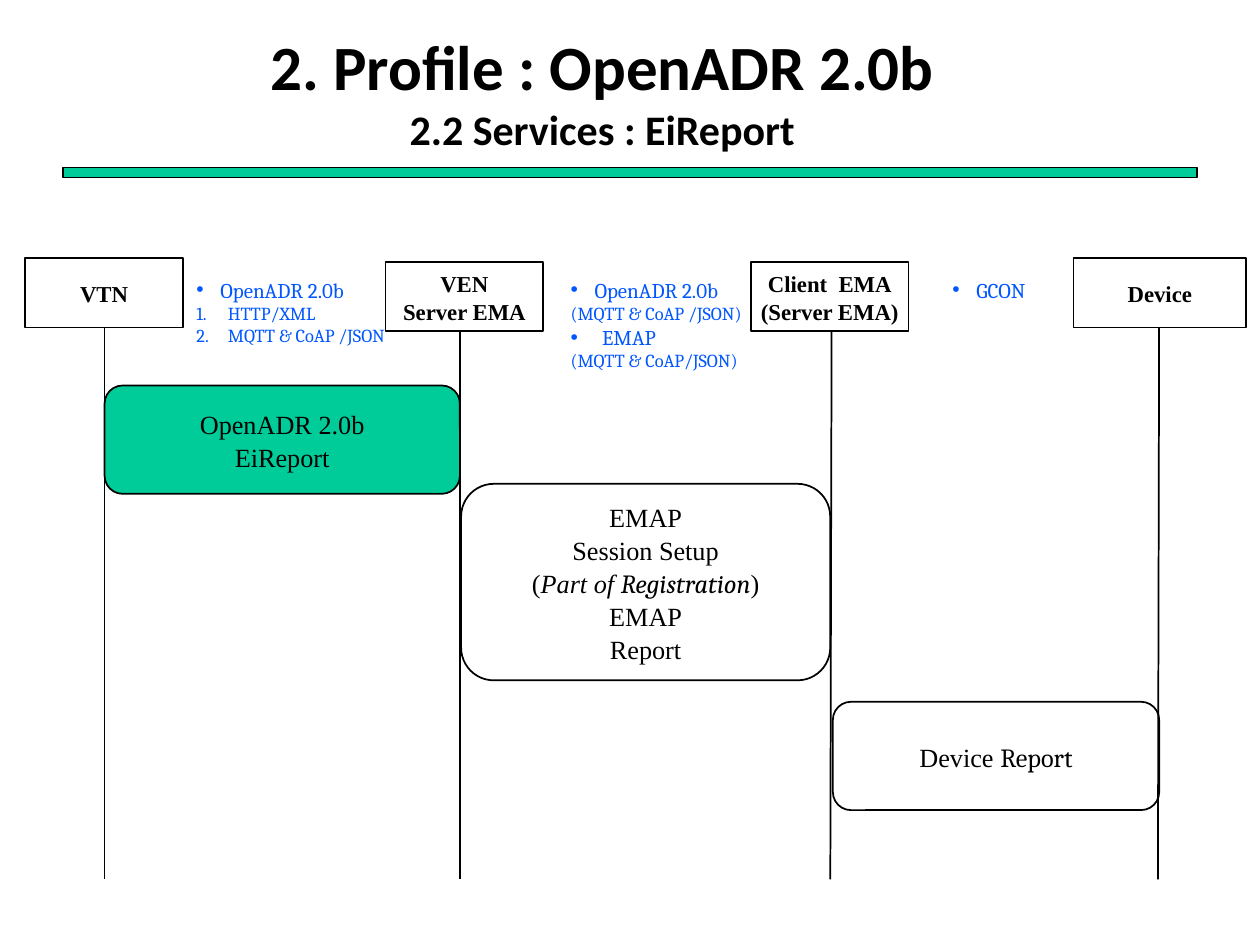
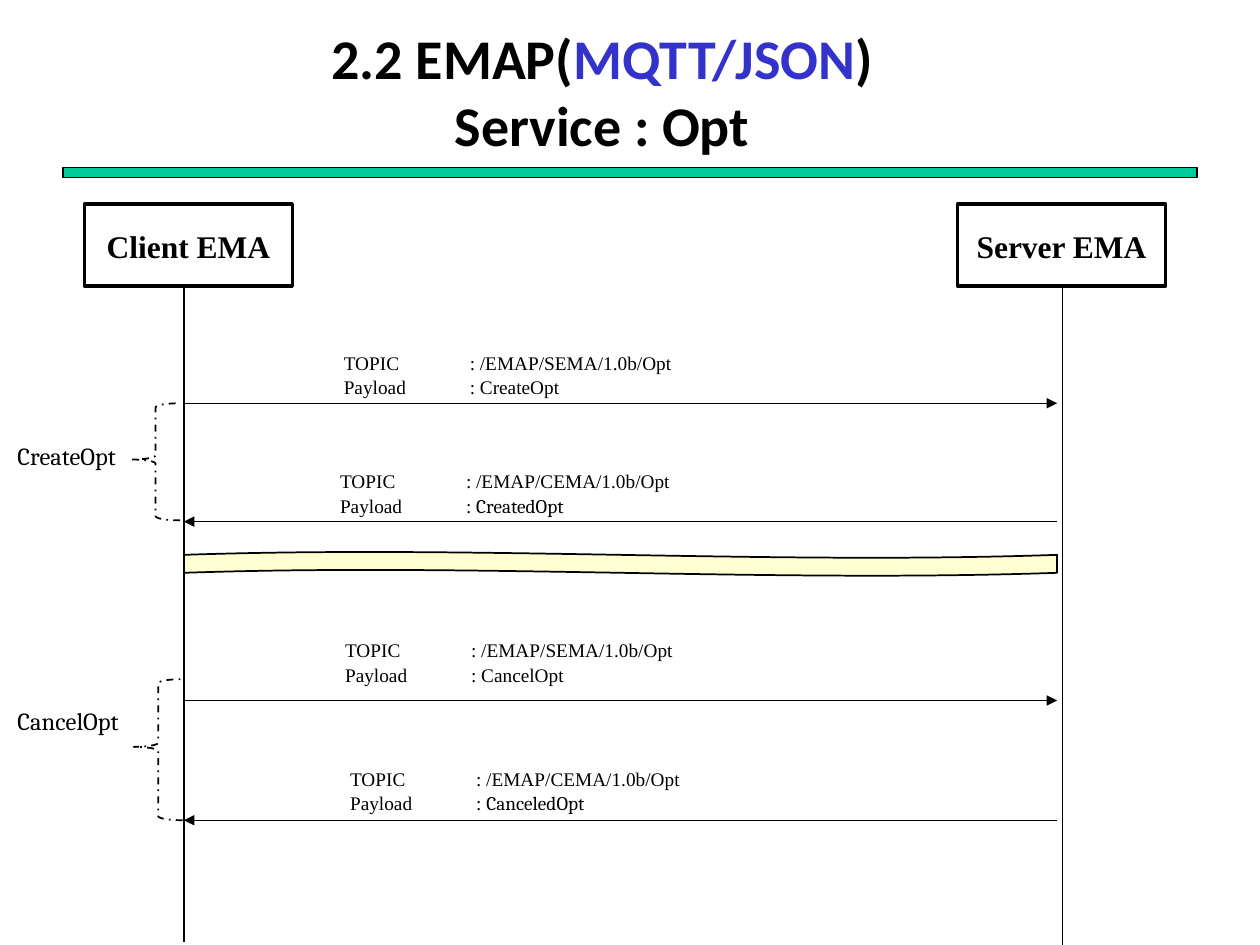
from lxml import etree
from pptx import Presentation
from pptx.dml.color import RGBColor
from pptx.enum.dml import MSO_LINE
from pptx.enum.shapes import MSO_CONNECTOR, MSO_SHAPE
from pptx.enum.text import MSO_ANCHOR, PP_ALIGN
from pptx.oxml.ns import qn
from pptx.util import Inches, Pt

RECT = MSO_SHAPE.RECTANGLE
ROUNDED = MSO_SHAPE.ROUNDED_RECTANGLE
BRACE = MSO_SHAPE.RIGHT_BRACE
WAVE = MSO_SHAPE.WAVE
STRAIGHT = MSO_CONNECTOR.STRAIGHT
DASH_DOT = MSO_LINE.DASH_DOT
MIDDLE, TOP = MSO_ANCHOR.MIDDLE, MSO_ANCHOR.TOP
CENTER, LEFT = PP_ALIGN.CENTER, PP_ALIGN.LEFT

BLACK, WHITE, GREEN = "000000", "FFFFFF", "00CC99"
BLUE, INDIGO, CREAM = "0156FF", "3333CC", "FFFFD1"
SERIF, CAMBRIA, CALIBRI = "Times New Roman", "Cambria", "Calibri"


def color(value):
    return RGBColor.from_string(value)


class Deck:
    def __init__(self):
        self.prs = Presentation()
        self.prs.slide_width, self.prs.slide_height = Inches(10), Inches(7.5)
        self.slide = None

    def new_slide(self, title_runs, size):
        """Start a slide with the shared title and green band."""
        self.slide = self.prs.slides.add_slide(self.prs.slide_layouts[6])
        self.shape(RECT, 0.5, 1.33, 9, 0.08, GREEN, 0.75)
        self.text(0.03, 0.26, 9.5, 0.92, [title_runs], align=CENTER, anchor=MIDDLE,
                  font=CALIBRI, size=size, bold=True, spacing=1)

    def fill_frame(self, frame, paragraphs, align=LEFT, anchor=TOP, wrap=True,
                   bullets=None, tab=None, spacing=1.05, **style):
        """A paragraph is a string or a list of (text, style changes)."""
        frame.word_wrap = wrap
        frame.vertical_anchor = anchor
        for index, runs in enumerate(paragraphs):
            paragraph = frame.paragraphs[0] if index == 0 else frame.add_paragraph()
            paragraph.alignment = align
            paragraph.line_spacing = spacing
            if bullets and bullets[index]:
                self.bullet(paragraph, *bullets[index])
            if tab:
                tabs = etree.SubElement(paragraph._p.get_or_add_pPr(), qn("a:tabLst"))
                etree.SubElement(tabs, qn("a:tab"), pos=str(Inches(tab)), algn="l")
            for text, changes in [(runs, {})] if isinstance(runs, str) else runs:
                if text == "\n":
                    paragraph.add_line_break()
                else:
                    self.run(paragraph, text, **{**style, **changes})

    def run(self, paragraph, text, font=SERIF, size=15, ink=BLACK, bold=False, italic=False):
        run = paragraph.add_run()
        run.text = text
        run.font.name, run.font.size = font, Pt(size)
        run.font.bold, run.font.italic = bold, italic
        run.font.color.rgb = color(ink)

    def bullet(self, paragraph, mark, indent):
        properties = paragraph._p.get_or_add_pPr()
        properties.set("marL", str(Inches(indent)))
        properties.set("indent", str(-Inches(indent)))
        if mark == "1.":
            etree.SubElement(properties, qn("a:buAutoNum"), type="arabicPeriod")
        else:
            etree.SubElement(properties, qn("a:buFont"), typeface="Arial")
            etree.SubElement(properties, qn("a:buChar"), char=mark)

    def text(self, left, top, width, height, paragraphs, **style):
        box = self.slide.shapes.add_textbox(*map(Inches, (left, top, width, height)))
        self.fill_frame(box.text_frame, paragraphs, **style)

    def shape(self, kind, left, top, width, height, fill=None, weight=1, paragraphs=(), **style):
        shape = self.slide.shapes.add_shape(kind, *map(Inches, (left, top, width, height)))
        shape.shadow.inherit = False
        if fill:
            shape.fill.solid()
            shape.fill.fore_color.rgb = color(fill)
        else:
            shape.fill.background()
        shape.line.color.rgb = color(BLACK)
        shape.line.width = Pt(weight)
        if paragraphs:
            self.fill_frame(shape.text_frame, paragraphs, align=CENTER, anchor=MIDDLE,
                            wrap=False, **style)
        return shape

    def line(self, x1, y1, x2, y2, weight=0.75, arrow=False):
        line = self.slide.shapes.add_connector(STRAIGHT, *map(Inches, (x1, y1, x2, y2)))
        line.line.color.rgb = color(BLACK)
        line.line.width = Pt(weight)
        properties = line._element.spPr
        if arrow:
            etree.SubElement(properties.find(qn("a:ln")), qn("a:tailEnd"), type="triangle")
        etree.SubElement(properties, qn("a:effectLst"))

    def brace(self, left, top, height):
        brace = self.shape(BRACE, left, top, 0.39, height)
        brace.rotation = 180
        brace.adjustments[0], brace.adjustments[1] = 0.083, 0.52
        brace.line.dash_style = DASH_DOT


def report_slide(deck):
    deck.new_slide([("2. Profile : OpenADR 2.0b", {}), ("\n", {}),
                    ("2.2 Services : EiReport", {"size": 24})], 36)

    # Lifelines and the parties above them
    for top_x, top, bottom_x in [(0.83, 2.6, 0.83), (3.65, 2.58, 3.65),
                                 (6.6, 2.61, 6.59), (9.2, 2.31, 9.19)]:
        deck.line(top_x, top, bottom_x, 6.98, 1)
    for left, top, width, names in [
            (0.2, 2.05, 1.25, ["VTN"]),
            (3.06, 2.08, 1.25, ["VEN", "Server EMA"]),
            (5.96, 2.08, 1.25, ["Client  EMA", "(Server EMA)"]),
            (8.52, 2.05, 1.37, ["Device"])]:
        deck.shape(RECT, left, top, width, 0.55, WHITE, 1, names, size=13, bold=True)

    # Protocols between the parties
    small = {"size": 10.5}
    dot, wide_dot, number = ("•", 0.19), ("•", 0.25), ("1.", 0.25)
    for left, width, height, protocols, bullets in [
            (1.46, 1.95, 0.67,
             ["OpenADR 2.0b", [("HTTP/XML", small)], [("MQTT & CoAP /JSON", small)]],
             [dot, number, number]),
            (4.43, 1.59, 1.06,
             ["OpenADR 2.0b", [("(MQTT & CoAP /JSON)", small)],
              "EMAP", [("(MQTT & CoAP/JSON)", small)]],
             [dot, None, wide_dot, None]),
            (7.46, 1.95, 0.3, ["GCON"], [dot])]:
        deck.text(left, 2.15, width, height, protocols, bullets=bullets,
                  font=CAMBRIA, size=12, ink=BLUE, spacing=1)

    # Exchanges
    deck.shape(ROUNDED, 0.83, 3.06, 2.82, 0.86, GREEN, 1, ["OpenADR 2.0b", "EiReport"])
    registration = [("(", {}), ("Part of ", {"italic": True}),
                    ("Registration", {"italic": True, "font": CAMBRIA}), (")", {})]
    deck.shape(ROUNDED, 3.66, 3.84, 2.93, 1.56, None, 1,
               ["EMAP", "Session Setup", registration, "EMAP", "Report"])
    deck.shape(ROUNDED, 6.61, 5.57, 2.59, 0.86, None, 1,
               [[("Device ", {}), ("Report", {"font": CAMBRIA})]])


def opt_slide(deck):
    deck.new_slide([("2.2 EMAP(", {}), ("MQTT/JSON", {"ink": INDIGO}), (")", {}),
                    ("\n", {}), ("Service : Opt", {})], 32)
    client_x, server_x, server_end = 1.46, 8.43, 8.39

    # Parties and lifelines
    for left, name in [(0.67, "Client EMA"), (7.6, "Server EMA")]:
        deck.shape(RECT, left, 1.62, 1.65, 0.65, None, 2, [name], size=18, bold=True)
    deck.line(client_x, 2.25, client_x, 7.48)
    deck.line(server_x, 2.27, server_x, 7.5)

    # Requests go to the server, replies come back to the client
    for y, left, top, target, payload in [
            (3.2, 2.63, 2.73, "SEMA", "CreateOpt"),
            (4.14, 2.6, 3.67, "CEMA", "CreatedOpt"),
            (5.56, 2.64, 5.01, "SEMA", "CancelOpt"),
            (6.51, 2.68, 6.03, "CEMA", "CanceledOpt")]:
        request = target == "SEMA"
        start, end = (client_x, server_end) if request else (server_end, client_x)
        deck.line(start, y, end, y, arrow=True)
        payload_font = SERIF if request else CAMBRIA
        deck.text(left, top, 2.82, 0.47,
                  [f"TOPIC \t: /EMAP/{target}/1.0b/Opt",
                   [("Payload\t: ", {}), (payload, {"font": payload_font})]],
                  size=11, tab=1, wrap=False)

    # Operation braces
    for name, label_top, left, top, height in [
            ("CreateOpt", 3.44, 1.04, 3.2, 0.93),
            ("CancelOpt", 5.54, 1.06, 5.39, 1.12)]:
        deck.brace(left, top, height)
        deck.text(0.04, label_top, 1.05, 0.34, [name], font=CAMBRIA, size=14, wrap=False)

    # Break between the operations
    deck.shape(WAVE, client_x, 4.38, server_end - client_x, 0.19, CREAM)


def main():
    deck = Deck()
    report_slide(deck)
    opt_slide(deck)
    deck.prs.save("out.pptx")


if __name__ == "__main__":
    main()
